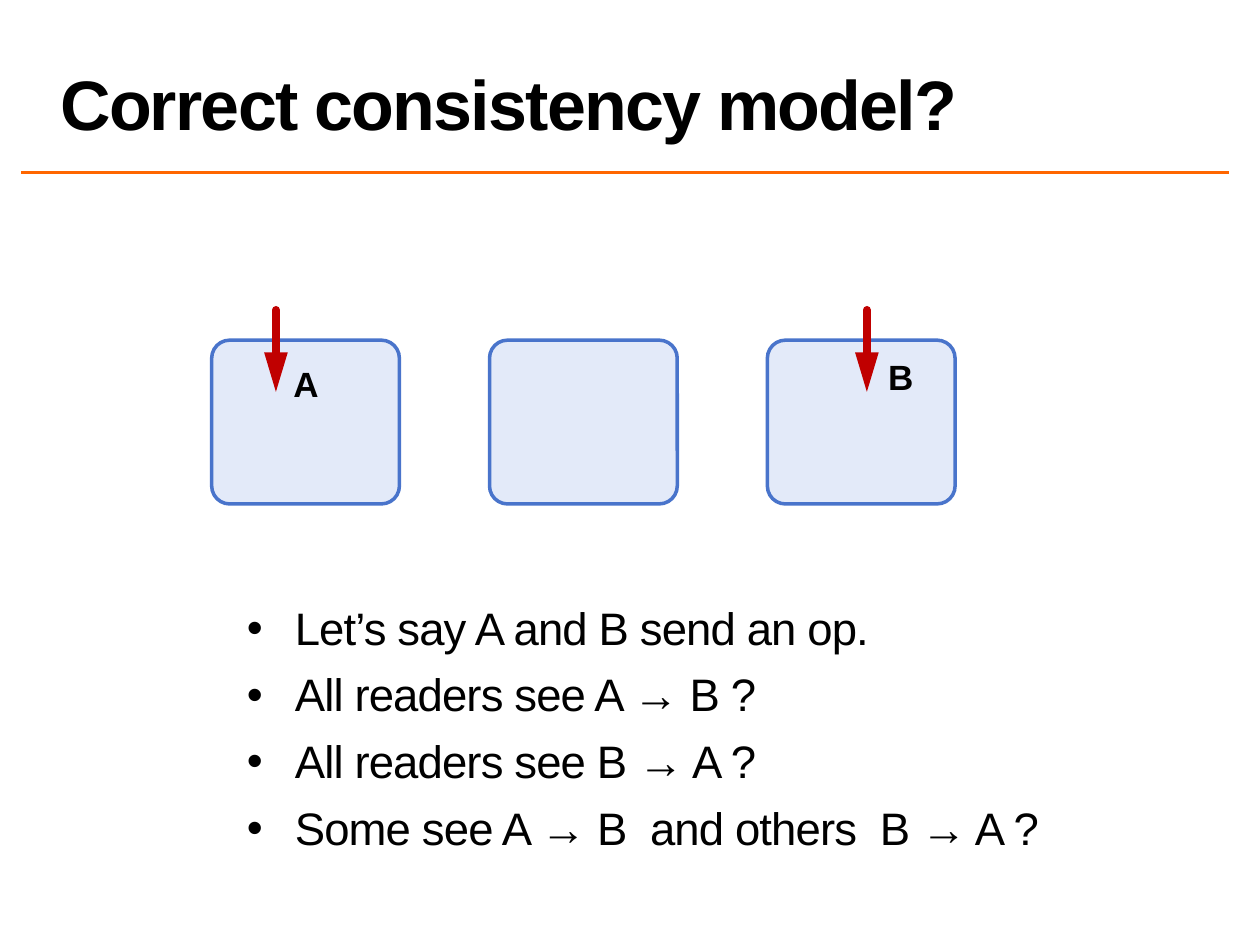
from dataclasses import dataclass

from lxml import etree
from pptx import Presentation
from pptx import util as u
from pptx.dml.color import RGBColor
from pptx.enum import shapes, text
from pptx.oxml import ns

WIDTH, HEIGHT = 10, 7.5
COLORS = {"text": "000000", "rule": "FF6600", "node": "E3EAF9",
          "border": "4974CB", "arrow": "C00000"}
FONT = "Arial"
NODE_LEFT, NODE_TOP, NODE_WIDTH, NODE_HEIGHT = 1.68, 2.7, 1.49, 1.3
NODE_PITCH = 2.205
ARROW_TOP, ARROW_BOTTOM = 2.46, 3.11


@dataclass
class Operation:
    """A labelled write arriving at one node."""
    label: str
    column: int
    arrow_offset: float
    label_offset: float
    label_top: float


OPERATIONS = [
    Operation("A", 0, 0.51, 0.53, 2.83),
    Operation("B", 2, 0.79, 0.84, 2.77),
]
QUESTIONS = [
    "Let’s say A and B send an op.",
    "All readers see A → B ?",
    "All readers see B → A ?",
    "Some see A → B  and others  B → A ?",
]


def color(name: str) -> RGBColor:
    return RGBColor.from_string(COLORS[name])


def node_left(column: int) -> float:
    return NODE_LEFT + column * NODE_PITCH


def add_child(parent, tag: str, **attributes: str):
    return etree.SubElement(parent, ns.qn(tag), attributes)


def add_line(slide, start: tuple, end: tuple, color_name: str, width: float):
    line = slide.shapes.add_connector(
        shapes.MSO_CONNECTOR.STRAIGHT, *(u.Inches(v) for v in start + end))
    line.line.color.rgb = color(color_name)
    line.line.width = u.Pt(width)
    add_child(line._element.spPr, "a:effectLst")
    return line


def add_arrow(slide, x: float) -> None:
    arrow = add_line(slide, (x, ARROW_TOP), (x, ARROW_BOTTOM), "arrow", 4.5)
    outline = arrow.line._get_or_add_ln()
    outline.set("cap", "rnd")
    add_child(outline, "a:round")
    add_child(outline, "a:tailEnd", type="triangle", w="med", len="lg")


def add_node(slide, column: int) -> None:
    node = slide.shapes.add_shape(
        shapes.MSO_SHAPE.ROUNDED_RECTANGLE, u.Inches(node_left(column)),
        u.Inches(NODE_TOP), u.Inches(NODE_WIDTH), u.Inches(NODE_HEIGHT))
    node.adjustments[0] = 0.11
    node.shadow.inherit = False
    node.fill.solid()
    node.fill.fore_color.rgb = color("node")
    node.line.color.rgb = color("border")
    node.line.width = u.Pt(2)


def add_text(slide, box: tuple, lines: list[str], size: float,
             bold: bool = False, spacing: float = 0):
    """Add one paragraph per line; spacing is letter spacing in points."""
    shape = slide.shapes.add_textbox(*(u.Inches(v) for v in box))
    frame = shape.text_frame
    frame.text = "\n".join(lines)
    frame.word_wrap = True
    for paragraph in frame.paragraphs:
        for run in paragraph.runs:
            run.font.name = FONT
            run.font.size = u.Pt(size)
            run.font.bold = bold
            run.font.color.rgb = color("text")
            if spacing:
                run._r.get_or_add_rPr().set("spc", str(int(spacing * 100)))
    return frame


def add_title(slide) -> None:
    frame = add_text(slide, (0.38, 0.02, 9.37, 1.17),
                     ["Correct consistency model?"], 40, True, -1)
    frame.vertical_anchor = text.MSO_ANCHOR.BOTTOM
    frame.paragraphs[0].line_spacing = 0.8


def add_questions(slide) -> None:
    frame = add_text(slide, (1.92, 4.77, 6.53, 2.48), QUESTIONS, 26,
                     spacing=-0.5)
    frame.margin_left = frame.margin_right = u.Inches(0.04)
    frame.margin_top = frame.margin_bottom = u.Inches(0.04)
    for index, paragraph in enumerate(frame.paragraphs):
        properties = paragraph._p.get_or_add_pPr()
        properties.set("marL", str(u.Inches(0.38)))
        properties.set("indent", str(-u.Inches(0.38)))
        add_child(properties, "a:buFont", typeface=FONT)
        add_child(properties, "a:buChar", char="•")
        paragraph.line_spacing = 0.9
        paragraph.space_before = u.Pt(5 if index else 0)
        paragraph.space_after = u.Pt(5)


def add_operation(slide, operation: Operation) -> None:
    left = node_left(operation.column)
    add_arrow(slide, left + operation.arrow_offset)
    frame = add_text(
        slide, (left + operation.label_offset, operation.label_top, 0.44, 0.44),
        [operation.label], 20, True)
    frame.paragraphs[0].alignment = text.PP_ALIGN.CENTER


def main() -> None:
    presentation = Presentation()
    presentation.slide_width = u.Inches(WIDTH)
    presentation.slide_height = u.Inches(HEIGHT)
    slide = presentation.slides.add_slide(presentation.slide_layouts[6])
    add_line(slide, (0.17, 1.37), (9.75, 1.37), "rule", 2)
    add_questions(slide)
    add_title(slide)
    for column in range(3):
        add_node(slide, column)
    for operation in OPERATIONS:
        add_operation(slide, operation)
    presentation.save("out.pptx")


if __name__ == "__main__":
    main()
